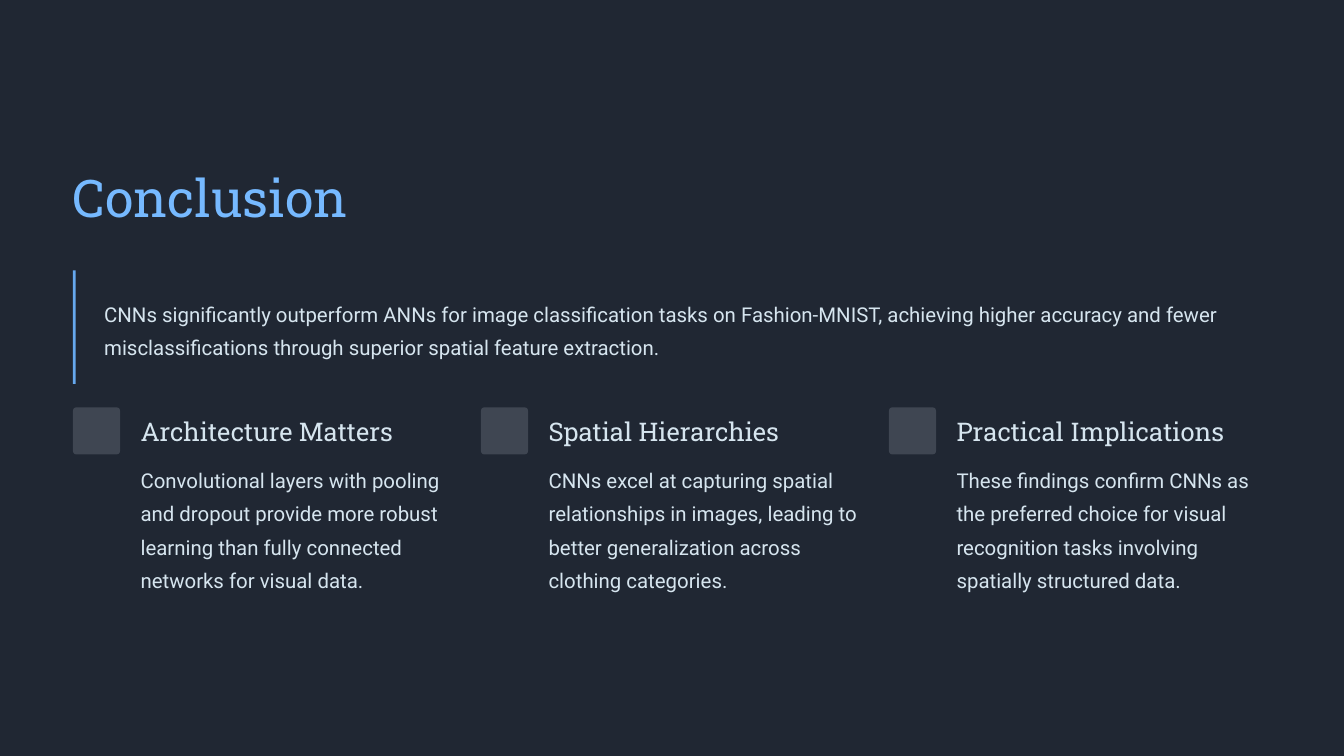
from dataclasses import dataclass

from pptx import Presentation
from pptx.dml.color import RGBColor
from pptx.enum.shapes import MSO_SHAPE
from pptx.enum.text import MSO_ANCHOR, PP_ALIGN
from pptx.util import Pt


@dataclass(frozen=True)
class Theme:
    background: str = "202733"
    title: str = "76B9FF"
    accent: str = "66A8EE"
    tile: str = "3F4652"
    text: str = "D6E5EF"
    heading_font: str = "Roboto Slab"
    body_font: str = "Roboto"
    title_size: float = 44.5
    heading_size: float = 22
    body_size: float = 17.5
    title_leading: float = 55.5
    heading_leading: float = 27.5
    body_leading: float = 28.5


LEFT = 62.6
COLUMN_PITCH = 349.7
TEXT_INDENT = 57.9
TILE_TOP = 349.2

SUMMARY = (
    "CNNs significantly outperform ANNs for image classification tasks on "
    "Fashion-MNIST, achieving higher accuracy and fewer misclassifications "
    "through superior spatial feature extraction."
)
FINDINGS = [
    ("Architecture Matters",
     "Convolutional layers with pooling and dropout provide more robust "
     "learning than fully connected networks for visual data."),
    ("Spatial Hierarchies",
     "CNNs excel at capturing spatial relationships in images, leading to "
     "better generalization across clothing categories."),
    ("Practical Implications",
     "These findings confirm CNNs as the preferred choice for visual "
     "recognition tasks involving spatially structured data."),
]


def write(tf, text, *, font, size, color, leading, wrap):
    tf.margin_left = tf.margin_top = tf.margin_right = tf.margin_bottom = 0
    tf.vertical_anchor = MSO_ANCHOR.TOP
    tf.word_wrap = wrap
    p = tf.paragraphs[0]
    p.alignment = PP_ALIGN.LEFT
    p.line_spacing = Pt(leading)
    r = p.add_run()
    r.text = text
    r.font.name = font
    r.font.size = Pt(size)
    r.font.color.rgb = RGBColor.from_string(color)


class SlideBuilder:
    def __init__(self, slide, theme):
        self.slide = slide
        self.theme = theme

    def background(self):
        fill = self.slide.background.fill
        fill.solid()
        fill.fore_color.rgb = RGBColor.from_string(self.theme.background)

    def text(self, text, x, y, w, h, **fmt):
        box = self.slide.shapes.add_textbox(Pt(x), Pt(y), Pt(w), Pt(h))
        write(box.text_frame, text, **fmt)

    def title(self, text, x, y, w, h):
        t = self.theme
        self.text(text, x, y, w, h, font=t.heading_font, size=t.title_size,
                  color=t.title, leading=t.title_leading, wrap=False)

    def heading(self, text, x, y, w, h):
        t = self.theme
        self.text(text, x, y, w, h, font=t.heading_font, size=t.heading_size,
                  color=t.text, leading=t.heading_leading, wrap=False)

    def body(self, text, x, y, w, h):
        t = self.theme
        self.text(text, x, y, w, h, font=t.body_font, size=t.body_size,
                  color=t.text, leading=t.body_leading, wrap=True)

    def shape(self, kind, x, y, w, h, color):
        sp = self.slide.shapes.add_shape(kind, Pt(x), Pt(y), Pt(w), Pt(h))
        sp.shadow.inherit = False
        sp.fill.solid()
        sp.fill.fore_color.rgb = RGBColor.from_string(color)
        sp.line.fill.background()
        return sp

    def bar(self, x, y, w, h):
        self.shape(MSO_SHAPE.RECTANGLE, x, y, w, h, self.theme.accent)

    def tile(self, x, y, size):
        sp = self.shape(MSO_SHAPE.ROUNDED_RECTANGLE, x, y, size, size, self.theme.tile)
        sp.adjustments[0] = 0.07

    def finding(self, x, heading, body):
        """Draw one column: a tile with a heading and a paragraph beside it."""
        self.tile(x, TILE_TOP, 40.3)
        self.heading(heading, x + TEXT_INDENT, 355, 232, 28)
        self.body(body, x + TEXT_INDENT, 393.8, 269.3, 114.5)


def main():
    prs = Presentation()
    prs.slide_width, prs.slide_height = Pt(1152), Pt(648)
    slide = prs.slides.add_slide(prs.slide_layouts[6])
    builder = SlideBuilder(slide, Theme())

    builder.background()
    builder.title("Conclusion", LEFT, 139.7, 446.4, 56)
    builder.body(SUMMARY, 89.3, 251.3, 1000, 57)
    builder.bar(LEFT, 231.8, 2.2, 97.2)
    for i, (heading, body) in enumerate(FINDINGS):
        builder.finding(LEFT + i * COLUMN_PITCH, heading, body)

    prs.save("out.pptx")


if __name__ == "__main__":
    main()
